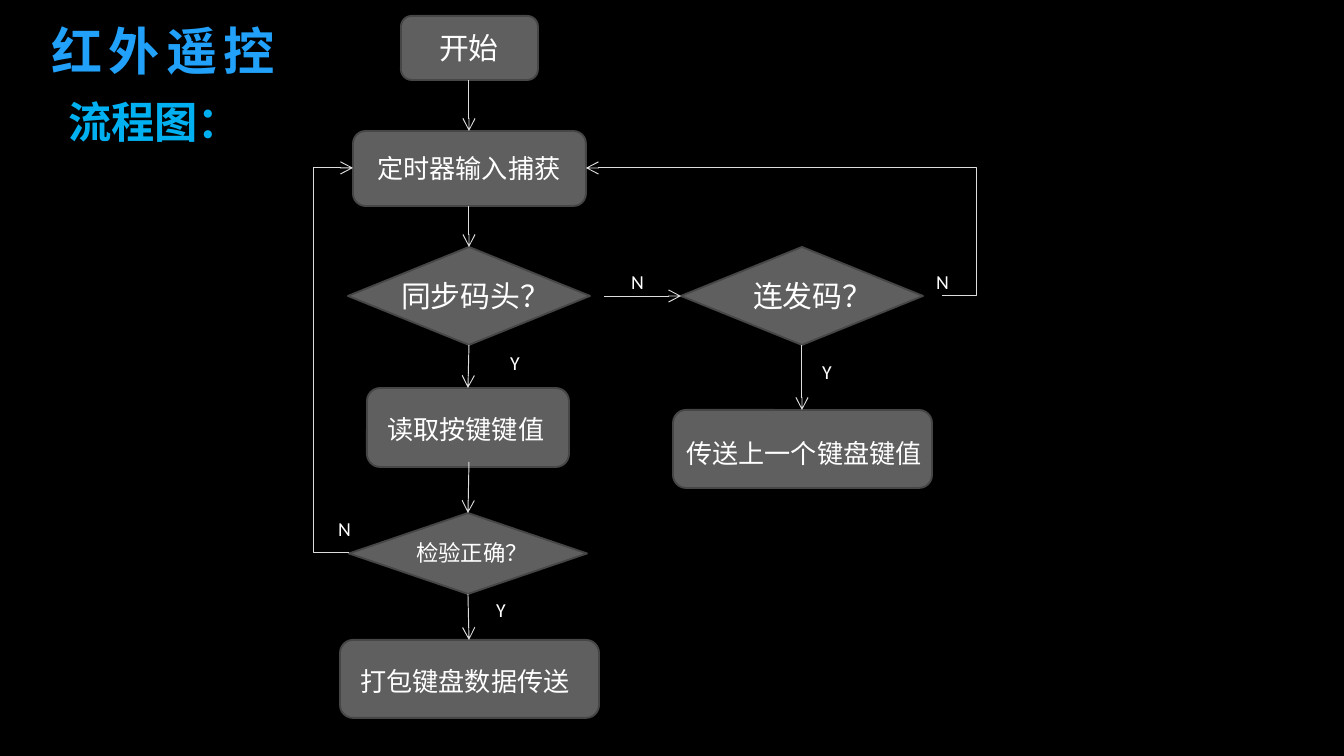
from lxml import etree
from pptx import Presentation
from pptx.dml.color import RGBColor
from pptx.enum.shapes import MSO_CONNECTOR, MSO_SHAPE
from pptx.enum.text import MSO_ANCHOR
from pptx.oxml.ns import qn
from pptx.util import Pt

PX = 914400 / 134.4
PROCESS = MSO_SHAPE.FLOWCHART_ALTERNATE_PROCESS
DECISION = MSO_SHAPE.FLOWCHART_DECISION
STRAIGHT, ELBOW = MSO_CONNECTOR.STRAIGHT, MSO_CONNECTOR.ELBOW
TOP, MIDDLE = MSO_ANCHOR.TOP, MSO_ANCHOR.MIDDLE
CJK = "Noto Sans CJK SC"
color = RGBColor.from_string


def px(*values):
    return [round(v * PX) for v in values]


def add_text(box, text, size, rgb="FFFFFF", bold=False, font="Calibri", anchor=MIDDLE):
    tf = s.shapes.add_textbox(*px(*box)).text_frame
    tf.word_wrap = True
    tf.vertical_anchor = anchor
    tf.text = text
    r = tf.paragraphs[0].runs[0]
    r.font.size = Pt(size)
    r.font.bold = bold
    r.font.color.rgb = color(rgb)
    r.font.name = font
    etree.SubElement(r.font._element, qn("a:ea"), typeface=CJK)
    return tf.paragraphs[0]


prs = Presentation()
prs.slide_width, prs.slide_height = px(1344, 756)
s = prs.slides.add_slide(prs.slide_layouts[6])
s.background.fill.solid()
s.background.fill.fore_color.rgb = color("000000")

p = add_text((38, 11, 1009, 85), "红外遥控", 27.4, "21A1FA", True, CJK)
p.line_spacing = 0.9
p.runs[0].font._element.set("spc", "350")
add_text((55, 89, 222, 66), "流程图：", 23.2, "00B0F0", True, anchor=TOP)

nodes = [
    (PROCESS, (401, 16, 137, 64), "开始", 16, (426, 30, 92, 35)),
    (PROCESS, (353, 131, 233, 75), "定时器输入捕获", 14, (364, 148, 222, 40)),
    (DECISION, (348, 247, 242, 98), "同步码头？", 16, (388, 274, 215, 43)),
    (PROCESS, (367, 388, 202, 79), "读取按键键值", 14, (374, 396, 190, 66)),
    (DECISION, (349, 513, 238, 81), "检验正确？", 12, (403, 527, 150, 52)),
    (PROCESS, (340, 640, 259, 78), "打包键盘数据传送", 14, (347, 646, 245, 70)),
    (DECISION, (681, 247, 242, 98), "连发码？", 16, (740, 274, 215, 43)),
    (PROCESS, (673, 410, 259, 78), "传送上一个键盘键值", 14, (673, 418, 288, 70)),
]
for kind, box, text, size, text_box in nodes:
    sp = s.shapes.add_shape(kind, *px(*box))
    sp.shadow.inherit = False
    sp.fill.solid()
    sp.fill.fore_color.rgb = color("5F5F5F")
    sp.line.color.rgb = color("464646")
    sp.line.width = Pt(1)
    add_text(text_box, text, size)

arrows = [
    (469, 80, 469, 131, None),
    (469, 206, 469, 247, None),
    (469, 345, 468, 388, None),
    (469, 462, 468, 513, None),
    (468, 594, 469, 640, None),
    (604, 296, 681, 296, None),
    (802, 345, 802, 410, None),
    (942, 296, 586, 168, 977),
    (349, 553, 353, 168, 314),
]
for x1, y1, x2, y2, via in arrows:
    c = s.shapes.add_connector(ELBOW if via else STRAIGHT, *px(x1, y1, x2, y2))
    c.line.color.rgb = color("DDDDDD")
    c.line.width = Pt(0.5)
    etree.SubElement(c.line._get_or_add_ln(), qn("a:tailEnd"), type="arrow")
    spPr = c._element.spPr
    etree.SubElement(spPr, qn("a:effectLst"))
    if via:
        adj = round((via - x1) / (x2 - x1) * 100000)
        av = spPr.find(qn("a:prstGeom")).get_or_add_avLst()
        etree.SubElement(av, qn("a:gd"), name="adj1", fmla=f"val {adj}")

labels = [("Y", 497, 347), ("Y", 483, 594), ("N", 325, 513),
          ("N", 618, 266), ("Y", 809, 356), ("N", 923, 266)]
for text, x, y in labels:
    add_text((x, y, 50, 31), text, 10.6)

prs.save("out.pptx")
